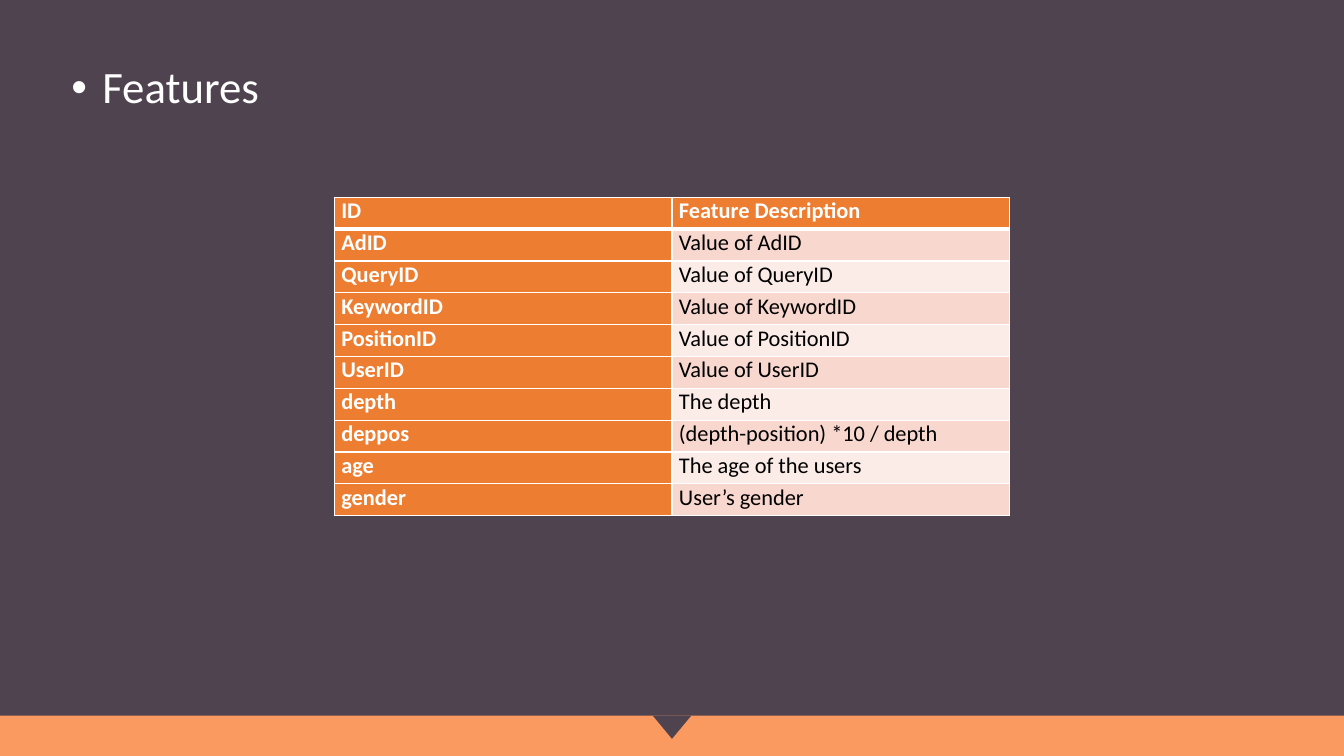
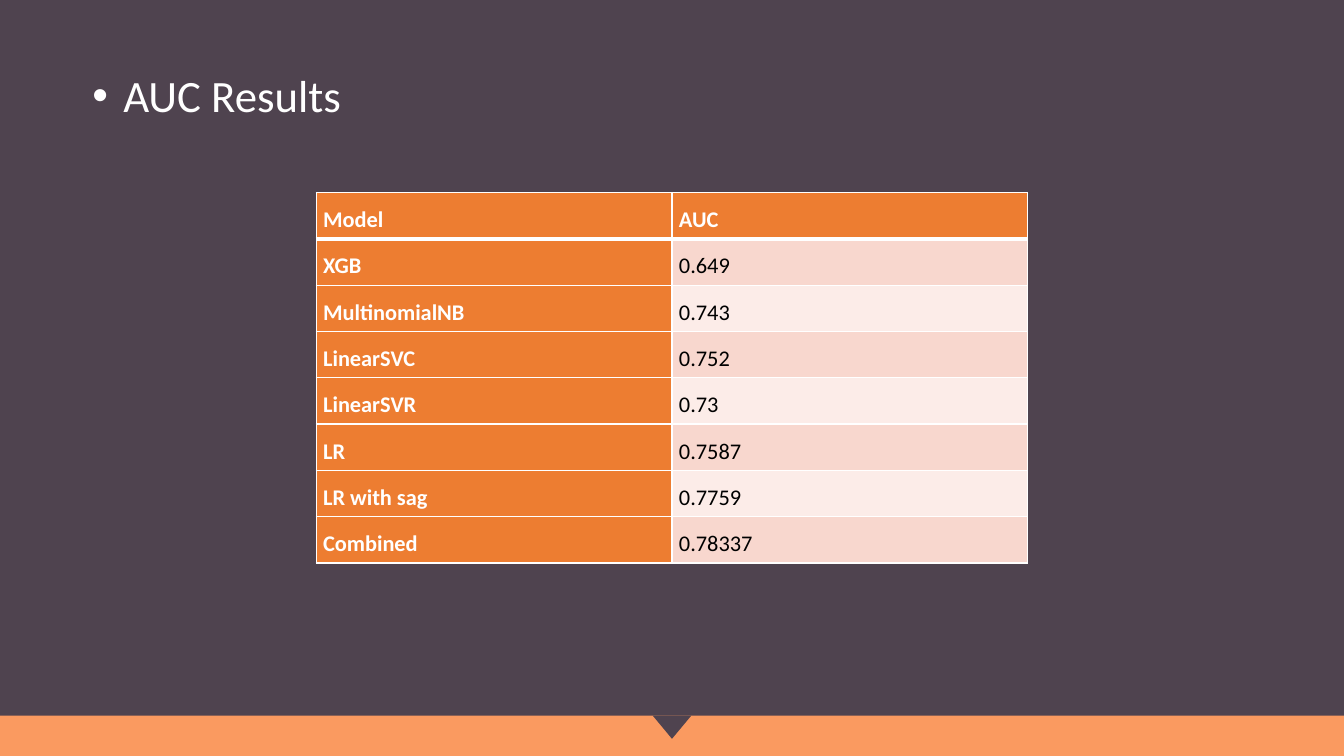
from lxml import etree
from pptx import Presentation
from pptx.dml.color import RGBColor
from pptx.enum.shapes import MSO_SHAPE
from pptx.enum.text import MSO_ANCHOR, PP_ALIGN
from pptx.oxml.ns import qn
from pptx.util import Pt

RECTANGLE = MSO_SHAPE.RECTANGLE
TRIANGLE = MSO_SHAPE.ISOSCELES_TRIANGLE
TOP = MSO_ANCHOR.TOP
LEFT, JUSTIFY = PP_ALIGN.LEFT, PP_ALIGN.JUSTIFY

COLORS = {
    "background": "4F434F",
    "band": "FA9A60",
    "header": "ED7D31",
    "odd_row": "F8D7CE",
    "even_row": "FCECE8",
    "light": "FFFFFF",
    "dark": "000000",
}
FONT = "Calibri"
SLIDE_W, SLIDE_H = 960, 540
BAND_H = 28.8
NOTCH_W, NOTCH_H = 27.5, 16.5
TITLE_W, TITLE_H, TITLE_INDENT = 421, 42.5, 22
CELL_MARGIN = 5

FEATURES = [
    ("ID", "Feature Description"),
    ("AdID", "Value of AdID"),
    ("QueryID", "Value of QueryID"),
    ("KeywordID", "Value of KeywordID"),
    ("PositionID", "Value of PositionID"),
    ("UserID", "Value of UserID"),
    ("depth", "The depth"),
    ("deppos", "(depth-position) *10 / depth"),
    ("age", "The age of the users"),
    ("gender", "User’s gender"),
]
AUC_RESULTS = [
    ("Model", "AUC"),
    ("XGB", "0.649"),
    ("MultinomialNB", "0.743"),
    ("LinearSVC", "0.752"),
    ("LinearSVR", "0.73"),
    ("LR", "0.7587"),
    ("LR with sag", "0.7759"),
    ("Combined", "0.78337"),
]


def rgb(name):
    """Return the named palette colour."""
    return RGBColor.from_string(COLORS[name])


def write_text(frame, text, size=16, color="light", bold=False, align=LEFT,
               line_spacing=1.0, space_before=0):
    """Write one formatted paragraph into a text frame and return it."""
    paragraph = frame.paragraphs[0]
    paragraph.alignment = align
    paragraph.line_spacing = line_spacing
    paragraph.space_before = Pt(space_before)
    run = paragraph.add_run()
    run.text = text
    run.font.name = FONT
    run.font.size = Pt(size)
    run.font.bold = bold
    run.font.color.rgb = rgb(color)
    return paragraph


def add_bullet(paragraph, indent):
    """Give a paragraph a round bullet with a hanging indent."""
    properties = paragraph._p.get_or_add_pPr()
    properties.set("marL", str(Pt(indent)))
    properties.set("indent", str(-Pt(indent)))
    etree.SubElement(properties, qn("a:buFont"), typeface="Arial")
    etree.SubElement(properties, qn("a:buChar"), char="•")


def add_plain_shape(slide, kind, left, top, width, height, color):
    """Add a filled shape without outline or shadow."""
    shape = slide.shapes.add_shape(kind, Pt(left), Pt(top), Pt(width), Pt(height))
    shape.shadow.inherit = False
    shape.fill.solid()
    shape.fill.fore_color.rgb = rgb(color)
    shape.line.fill.background()
    return shape


def add_footer(slide, left, top, width, height):
    """Draw the bottom band with a notch in the middle of its upper edge."""
    add_plain_shape(slide, RECTANGLE, left, top, width, height, "band")
    notch = add_plain_shape(slide, TRIANGLE, left + (width - NOTCH_W) / 2, top,
                            NOTCH_W, NOTCH_H, "background")
    notch.rotation = 180


def add_title(slide, text, left, top):
    """Place the bulleted slide title."""
    title = slide.shapes.add_textbox(Pt(left), Pt(top), Pt(TITLE_W), Pt(TITLE_H))
    title.text_frame.word_wrap = True
    paragraph = write_text(title.text_frame, text, size=32, line_spacing=0.9,
                           space_before=10)
    add_bullet(paragraph, TITLE_INDENT)


def set_borders(cell, top=1, bottom=1):
    """Draw white borders of the given widths around a cell."""
    properties = cell._tc.get_or_add_tcPr()
    for side, width in (("L", 1), ("R", 1), ("T", top), ("B", bottom)):
        line = etree.SubElement(properties, qn(f"a:ln{side}"), w=str(Pt(width)))
        fill = etree.SubElement(line, qn("a:solidFill"))
        etree.SubElement(fill, qn("a:srgbClr"), val=COLORS["light"])


def add_data_table(slide, rows, left, top, width, height, line_spacing):
    """Fill a box with a table that has a header row and a header column."""
    columns = len(rows[0])
    table = slide.shapes.add_table(len(rows), columns, Pt(left), Pt(top),
                                   Pt(width), Pt(height)).table
    table.horz_banding = False
    for column in table.columns:
        column.width = Pt(width / columns)
    for r, values in enumerate(rows):
        table.rows[r].height = Pt(height / len(rows))
        for c, value in enumerate(values):
            cell = table.cell(r, c)
            is_header = r == 0 or c == 0
            set_borders(cell, top=3 if r == 1 else 1, bottom=3 if r == 0 else 1)
            cell.margin_left = cell.margin_right = Pt(CELL_MARGIN)
            cell.margin_top = cell.margin_bottom = 0
            cell.vertical_anchor = TOP
            cell.fill.solid()
            body_fill = "odd_row" if r % 2 else "even_row"
            cell.fill.fore_color.rgb = rgb("header" if is_header else body_fill)
            write_text(cell.text_frame, value, bold=is_header, align=JUSTIFY,
                       color="light" if is_header else "dark",
                       line_spacing=line_spacing)


def add_table_slide(deck, title, title_at, rows, table_top, table_size,
                    line_spacing=1.0):
    """Build a slide with a title, a centred table and the footer."""
    slide = deck.slides.add_slide(deck.slide_layouts[6])
    slide.background.fill.solid()
    slide.background.fill.fore_color.rgb = rgb("background")
    add_footer(slide, 0, SLIDE_H - BAND_H, SLIDE_W, BAND_H)
    width, height = table_size
    add_data_table(slide, rows, (SLIDE_W - width) / 2, table_top, width, height,
                   line_spacing)
    add_title(slide, title, *title_at)


deck = Presentation()
deck.slide_width, deck.slide_height = Pt(SLIDE_W), Pt(SLIDE_H)
add_table_slide(deck, "Features", (44, 43), FEATURES, 141, (482.4, 227.5))
add_table_slide(deck, "AUC Results", (59, 49), AUC_RESULTS, 137.5, (508.4, 264.8),
                line_spacing=1.5)
deck.save("out.pptx")
